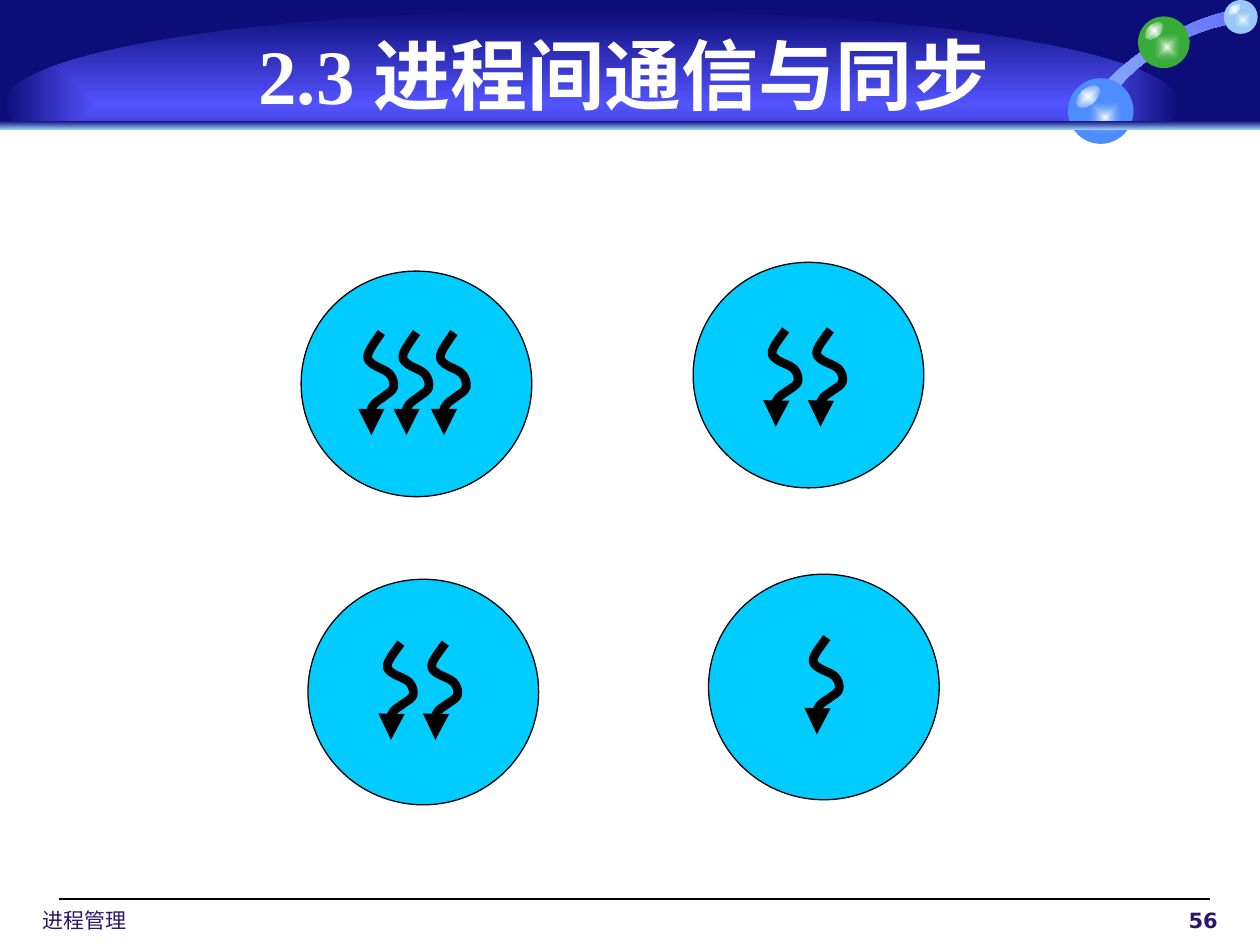
from lxml import etree
from pptx import Presentation
from pptx.dml.color import RGBColor
from pptx.enum.shapes import MSO_CONNECTOR, MSO_SHAPE
from pptx.enum.text import MSO_ANCHOR, PP_ALIGN
from pptx.oxml import parse_xml
from pptx.oxml.ns import nsdecls, qn
from pptx.util import Pt

OVAL = MSO_SHAPE.OVAL
RECTANGLE = MSO_SHAPE.RECTANGLE
STRAIGHT = MSO_CONNECTOR.STRAIGHT
LEFT, CENTER, RIGHT = PP_ALIGN.LEFT, PP_ALIGN.CENTER, PP_ALIGN.RIGHT
TOP, BOTTOM = MSO_ANCHOR.TOP, MSO_ANCHOR.BOTTOM

NAVY = RGBColor(0x0D, 0x0D, 0x79)
VIOLET = RGBColor(0x53, 0x53, 0xFF)
PALE_BLUE = RGBColor(0x9A, 0xC8, 0xFA)
GREEN = RGBColor(0x39, 0xAB, 0x39)
BLUE = RGBColor(0x4D, 0x8D, 0xFF)
CYAN = RGBColor(0x00, 0xCC, 0xFF)
WHITE = RGBColor(0xFF, 0xFF, 0xFF)
BLACK = RGBColor(0x00, 0x00, 0x00)
FOOTER_COLOR = RGBColor(0x2B, 0x16, 0x6E)

FROM_CENTER = ('<a:path path="shape"><a:fillToRect l="50000" t="50000" '
               'r="50000" b="50000"/></a:path>')
LEFT_TO_RIGHT = '<a:lin ang="0" scaled="0"/>'
TOP_DOWN = '<a:lin ang="5400000" scaled="0"/>'

PROCESS_SIZE = (131.8, 128.9)
# left, top, left edge of each thread, thread top, thread height
PROCESSES = [
    (172.1, 154.9, (209.7, 229.8, 251.2), 190, 58.6),
    (396.1, 149.9, (440.8, 466.3), 188.5, 55.3),
    (176, 331, (220.9, 246.3), 367.5, 55.3),
    (404.9, 328.1, (464.3,), 364.3, 55.3),
]
# Outlines in their own frames: a segment is a line (1 point) or a curve (3 points)
THREAD_SIZE = (15.8, 55.4)
THREAD_START = (8.2, 0)
THREAD_SEGMENTS = [
    ((5, 4.5), (1.2, 9.2), (0.5, 12.2)),
    ((0, 15), (1.3, 15.5), (3.4, 17.2)),
    ((5.6, 18.8), (10.9, 20.2), (12.9, 22.3)),
    ((14.9, 24.4), (15.7, 27.5), (15.2, 29.7)),
    ((14.5, 31.8), (11.7, 33.1), (9.8, 34.5)),
    ((8, 35.9), (5.4, 37.2), (4.1, 38.8)),
    ((2.8, 40.2), (2.2, 41.7), (1.9, 44.5)),
    ((1.6, 47.2), (2.2, 53.2), (2.5, 55.4)),
]
RIBBON_SIZE = (136.1, 59.8)
RIBBON_START = (104.6, 12)
RIBBON_SEGMENTS = [
    ((94.2, 8.3), (81.1, 6.2), (67.9, 5.8)),
    ((54.3, 6), (41.2, 8.2), (31.2, 12.2)),
    ((21.6, 7.2),),
    ((34.6, 2.5), (50.6, 0), (68.1, 0)),
    ((85.2, 0), (101.7, 2.8), (113.9, 7.6)),
]


def add_filled(shapes, kind, left, top, width, height, color):
    shape = shapes.add_shape(kind, Pt(left), Pt(top), Pt(width), Pt(height))
    shape.shadow.inherit = False
    shape.fill.solid()
    shape.fill.fore_color.rgb = color
    shape.line.fill.background()
    return shape


def set_gradient(shape, first, last, direction, last_alpha=100):
    shape.fill.background()
    properties = shape._element.spPr
    gradient = parse_xml(
        f'<a:gradFill {nsdecls("a")} rotWithShape="1"><a:gsLst>'
        f'<a:gs pos="0"><a:srgbClr val="{first}"/></a:gs>'
        f'<a:gs pos="100000"><a:srgbClr val="{last}">'
        f'<a:alpha val="{last_alpha * 1000}"/></a:srgbClr></a:gs>'
        f'</a:gsLst>{direction}</a:gradFill>')
    properties.replace(properties.find(qn("a:noFill")), gradient)


def add_curved_outline(shapes, box, frame_size, start, segments, close):
    """Add a freeform whose segments, given in frame_size, are stretched to box."""
    left, top, width, height = map(Pt, box)
    builder = shapes.build_freeform(left, top)
    builder.add_line_segments([(left + width, top + height)], close=close)
    shape = builder.convert_to_shape()
    shape.shadow.inherit = False
    outline = next(shape._element.iter(qn("a:path")))
    for name, length in zip(("w", "h"), frame_size):
        outline.set(name, str(Pt(length)))
    for command in list(outline):
        outline.remove(command)
    for points in [(start,), *segments]:
        tag = "a:cubicBezTo" if len(points) == 3 else "a:lnTo"
        command = etree.SubElement(outline, qn(tag if len(outline) else "a:moveTo"))
        for x, y in points:
            etree.SubElement(command, qn("a:pt"), x=str(Pt(x)), y=str(Pt(y)))
    if close:
        etree.SubElement(outline, qn("a:close"))
    return shape


def add_ribbon(slide):
    ribbon = add_curved_outline(slide.shapes, (609.8, 18.7, *RIBBON_SIZE), RIBBON_SIZE,
                                RIBBON_START, RIBBON_SEGMENTS, close=True)
    ribbon.rotation = 328.8
    ribbon.line.fill.background()
    set_gradient(ribbon, PALE_BLUE, VIOLET, LEFT_TO_RIGHT)


def add_ball(slide, left, top, size, color):
    shapes = slide.shapes.add_group_shape().shapes
    add_filled(shapes, OVAL, left, top, size, size, color)
    glow = add_filled(shapes, OVAL, left + 0.28 * size, top + 0.32 * size,
                      0.56 * size, 0.56 * size, WHITE)
    set_gradient(glow, WHITE, color, FROM_CENTER, last_alpha=0)
    highlight = add_filled(shapes, OVAL, left + 0.1 * size, top + 0.16 * size,
                           0.42 * size, 0.24 * size, WHITE)
    highlight.rotation = 317.2
    set_gradient(highlight, WHITE, color, FROM_CENTER)


def add_thread(shapes, left, top, height):
    thread = add_curved_outline(shapes, (left, top, THREAD_SIZE[0], height), THREAD_SIZE,
                                THREAD_START, THREAD_SEGMENTS, close=False)
    thread.fill.background()
    thread.line.color.rgb = BLACK
    thread.line.width = Pt(5)
    etree.SubElement(thread.line._get_or_add_ln(), qn("a:tailEnd"), type="triangle")


def add_process(slide, left, top, thread_lefts, thread_top, thread_height):
    shapes = slide.shapes.add_group_shape().shapes
    circle = add_filled(shapes, OVAL, left, top, *PROCESS_SIZE, CYAN)
    circle.line.color.rgb = BLACK
    circle.line.width = Pt(0.75)
    for thread_left in thread_lefts:
        add_thread(shapes, thread_left, thread_top, thread_height)


def add_text(slide, box, text, font_name, size, color, bold, alignment, anchor=TOP):
    shape = slide.shapes.add_textbox(*map(Pt, box))
    frame = shape.text_frame
    frame.word_wrap = True
    frame.vertical_anchor = anchor
    paragraph = frame.paragraphs[0]
    paragraph.text = text
    paragraph.alignment = alignment
    font = paragraph.font
    font.name, font.size, font.bold = font_name, Pt(size), bold
    font.color.rgb = color


def add_header(slide):
    shapes = slide.shapes
    add_filled(shapes, RECTANGLE, 0, 0, 720, 72, NAVY)
    dome = add_filled(shapes, OVAL, 2.2, 5.8, 671.8, 107.3, VIOLET)
    set_gradient(dome, VIOLET, NAVY, FROM_CENTER)
    add_filled(shapes, RECTANGLE, 0, 71.3, 720, 422, WHITE)
    add_ribbon(slide)
    add_ball(slide, 650.3, 9.4, 29.5, GREEN)
    add_ball(slide, 610.2, 44.7, 37.5, BLUE)
    add_ball(slide, 699.3, 0, 19.4, PALE_BLUE)
    band = add_filled(shapes, RECTANGLE, 0, 69.1, 720, 5, NAVY)
    set_gradient(band, NAVY, PALE_BLUE, TOP_DOWN)


def add_footer(slide):
    rule = slide.shapes.add_connector(STRAIGHT, Pt(33.8), Pt(513.8), Pt(691.2), Pt(513.8))
    rule.line.color.rgb = BLACK
    rule.line.width = Pt(0.75)
    etree.SubElement(rule._element.spPr, qn("a:effectLst"))
    style = ("DejaVu Sans", 12, FOOTER_COLOR)
    add_text(slide, (17.5, 514.8, 191, 23.8), "进程管理", *style, False, LEFT)
    add_text(slide, (474.8, 514.8, 228.2, 23.8), "56", *style, True, RIGHT)


def main():
    presentation = Presentation()
    presentation.slide_width, presentation.slide_height = Pt(720), Pt(540)
    slide = presentation.slides.add_slide(presentation.slide_layouts[6])
    add_header(slide)
    add_footer(slide)
    add_text(slide, (23.8, 18.7, 666, 53.3), "2.3 进程间通信与同步",
             "Times New Roman", 44, WHITE, True, CENTER, BOTTOM)
    for process in PROCESSES:
        add_process(slide, *process)
    presentation.save("out.pptx")


if __name__ == "__main__":
    main()
